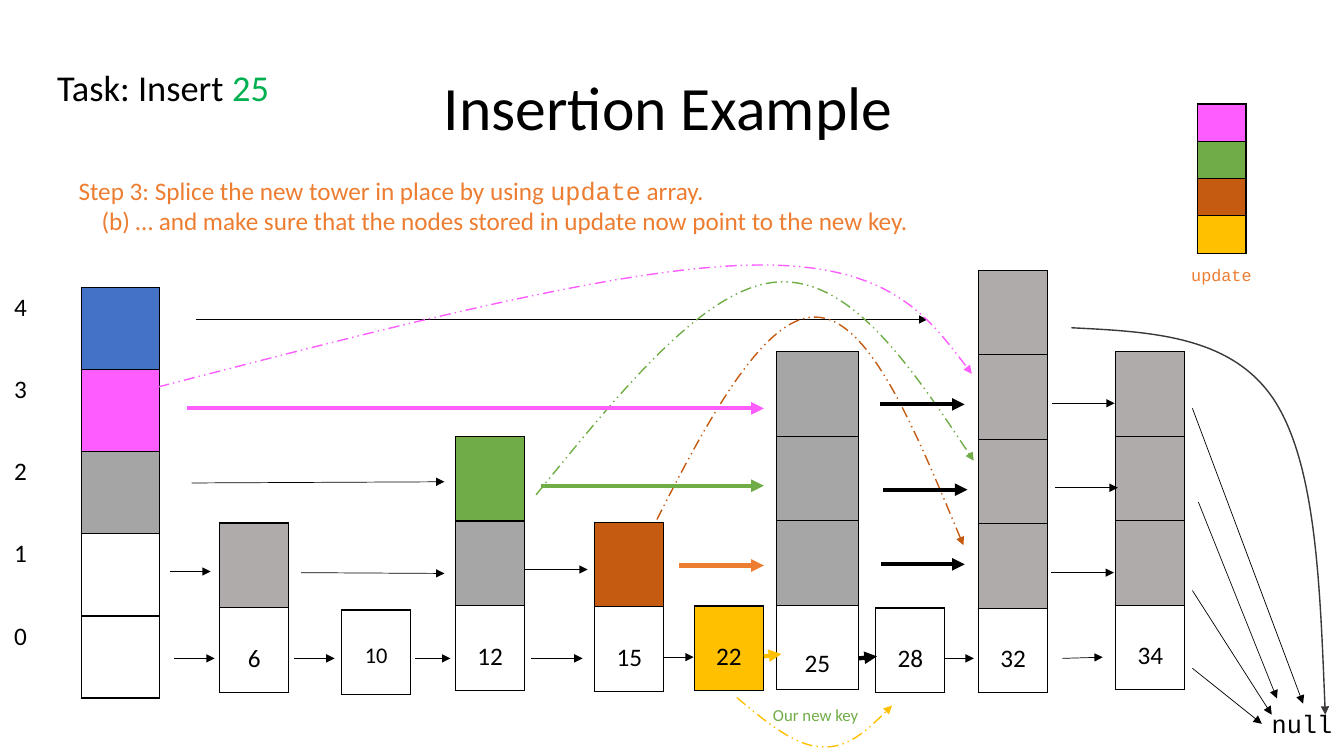
from dataclasses import dataclass

from lxml import etree
from pptx import Presentation
from pptx.dml.color import RGBColor
from pptx.enum.dml import MSO_LINE
from pptx.enum.shapes import MSO_CONNECTOR
from pptx.enum.text import MSO_ANCHOR, PP_ALIGN
from pptx.oxml.ns import qn
from pptx.util import Cm, Pt

STRAIGHT = MSO_CONNECTOR.STRAIGHT
DASH = MSO_LINE.DASH_DOT_DOT
CENTER = PP_ALIGN.CENTER
MIDDLE = MSO_ANCHOR.MIDDLE


@dataclass(frozen=True)
class Theme:
    sans: str = "Calibri"
    mono: str = "Courier New"
    black: str = "000000"
    charcoal: str = "3B3838"
    blue: str = "4472C4"
    pink: str = "FD5CFF"
    green: str = "70AD47"
    bright_green: str = "00B050"
    brown: str = "C55A11"
    orange: str = "ED7D31"
    gold: str = "FFC000"
    grey: str = "A6A6A6"
    level_grey: str = "A5A5A5"
    warm_grey: str = "AFABAB"
    title: int = 44
    task: int = 26
    body: int = 18
    compact: int = 16
    caption: int = 12


THEME = Theme()
TOWER_WIDTH = 1.74
TOWER_ROW = 2.13
LEVEL_SIZE = 2.07
LEVEL_COLUMN = 1.96

TOWERS = [
    (5.54, 13.18, "6", [THEME.warm_grey, None]),
    (11.48, 11.0, "12", [THEME.green, THEME.grey, None]),
    (14.99, 13.16, "15", [THEME.brown, None]),
    (17.5, 15.27, "22", [THEME.gold]),
    (22.07, 15.32, "28", [None]),
    (24.66, 6.81, "32", [THEME.warm_grey] * 4 + [None]),
    (28.12, 8.86, "34", [THEME.warm_grey] * 3 + [None]),
]

THIN_ARROWS = [
    (4.39, 16.59, 5.41, 16.59), (7.42, 16.59, 8.43, 16.59),
    (10.46, 16.59, 11.35, 16.59), (13.39, 16.59, 14.68, 16.59),
    (23.8, 16.59, 24.54, 16.59), (26.77, 16.59, 27.79, 16.56),
    (4.29, 14.4, 5.31, 14.4), (7.59, 14.43, 11.2, 14.45),
    (13.23, 14.35, 14.81, 14.35), (26.49, 14.43, 28.07, 14.43),
    (26.59, 12.29, 28.17, 12.29), (26.52, 10.16, 28.09, 10.16),
    (4.95, 8.05, 23.37, 8.05), (4.83, 12.17, 11.2, 12.14),
    (30.05, 16.84, 31.8, 18.24), (30.05, 14.88, 32.05, 18.01),
    (30.2, 12.65, 32.18, 17.6), (30.05, 10.29, 32.84, 17.73),
]

THICK_ARROWS = [
    (THEME.black, (21.64, 16.59, 22.1, 16.54)),
    (THEME.black, (22.2, 14.22, 24.31, 14.22)),
    (THEME.black, (22.25, 12.34, 24.38, 12.34)),
    (THEME.black, (22.17, 10.19, 24.31, 10.19)),
    (THEME.gold, (19.25, 16.54, 19.69, 16.48)),
    (THEME.orange, (17.12, 14.25, 19.25, 14.25)),
    (THEME.green, (13.64, 12.24, 19.25, 12.24)),
    (THEME.pink, (4.72, 10.29, 19.25, 10.29)),
]

NULL_CURVE = [(27, 8.26), (29.03, 8.36), (31.04, 8.46), (32.11, 10.08),
              (33.17, 11.71), (33.27, 14.86), (33.4, 18.01)]

OLD_POINTERS = [
    (THEME.pink, [(3.99, 9.75), (9.78, 8.26), (15.57, 6.73), (19, 6.68),
                  (22.4, 6.63), (23.44, 8.03), (24.49, 9.42)]),
    (THEME.green, [(13.51, 12.47), (15.62, 9.88), (17.73, 7.26), (19.56, 7.11),
                   (21.41, 6.96), (22.99, 9.27), (24.54, 11.61)]),
    (THEME.brown, [(15.67, 14.88), (17.32, 11.53), (18.95, 8.18), (20.4, 8),
                   (21.82, 7.8), (23.04, 10.77), (24.28, 13.74)]),
    (THEME.gold, [(18.57, 17.58), (19.3, 18.19), (20.04, 18.8), (20.7, 18.82),
                  (21.36, 18.87), (21.92, 18.34), (22.48, 17.78)]),
]


def style_font(font, size, color=THEME.black, name=THEME.sans):
    font.name = name
    font.size = Pt(size)
    font.color.rgb = RGBColor.from_string(color)


def add_text(page, left, top, width, height):
    box = page.shapes.add_textbox(Cm(left), Cm(top), Cm(width), Cm(height))
    box.text_frame.word_wrap = True
    return box.text_frame


def add_label(page, place, text, size, color=THEME.black, name=THEME.sans):
    para = add_text(page, *place).paragraphs[0]
    para.text = text
    style_font(para.font, size, color, name)


def add_spans(para, spans):
    for text, size, color, name in spans:
        span = para.add_run()
        span.text = text
        style_font(span.font, size, color, name)


def add_borders(cell, sides):
    properties = cell._tc.get_or_add_tcPr()
    for side in sides:
        border = etree.SubElement(properties, qn(f"a:ln{side}"), w=str(Pt(1)))
        fill = etree.SubElement(border, qn("a:solidFill"))
        etree.SubElement(fill, qn("a:srgbClr"), val=THEME.black)


def paint_cell(cell, color, sides="LRTB"):
    cell.margin_top = cell.margin_bottom = 0
    add_borders(cell, sides)
    if color:
        cell.fill.solid()
        cell.fill.fore_color.rgb = RGBColor.from_string(color)
    else:
        cell.fill.background()


def add_grid(page, left, top, rows, columns, width, row_height):
    table = page.shapes.add_table(rows, columns, Cm(left), Cm(top),
                                  Cm(width * columns), Cm(row_height * rows)).table
    table.first_row = table.horz_banding = False
    return table


def write_cell(cell, text, size, gap):
    cell.margin_top = Cm(gap)
    para = cell.text_frame.paragraphs[0]
    para.text = text
    style_font(para.font, size)
    return para


def add_tower(page, left, top, label, fills, width=TOWER_WIDTH,
              row_height=TOWER_ROW, size=THEME.body, gap=0.9):
    table = add_grid(page, left, top, len(fills), 1, width, row_height)
    for row, color in enumerate(fills):
        paint_cell(table.cell(row, 0), color)
    if label:
        write_cell(table.cell(len(fills) - 1, 0), label, size, gap).alignment = CENTER


def add_head_tower(page):
    fills = [THEME.blue, THEME.pink, THEME.level_grey, None, None]
    table = add_grid(page, 0.1, 7.24, len(fills), 2, LEVEL_COLUMN, LEVEL_SIZE)
    for row, color in enumerate(fills):
        paint_cell(table.cell(row, 0), None, "R")
        write_cell(table.cell(row, 0), str(len(fills) - 1 - row), THEME.body, 0.13)
        paint_cell(table.cell(row, 1), color)


def style_arrow(shape, color, width, dash=None):
    line = shape.line
    line.color.rgb = RGBColor.from_string(color)
    line.width = Pt(width)
    if dash:
        line.dash_style = dash
    properties = shape._element.spPr
    etree.SubElement(properties.find(qn("a:ln")), qn("a:tailEnd"), type="triangle")
    if properties.find(qn("a:effectLst")) is None:
        etree.SubElement(properties, qn("a:effectLst"))


def add_arrow(page, ends, color=THEME.black, width=0.5):
    arrow = page.shapes.add_connector(STRAIGHT, *map(Cm, ends))
    style_arrow(arrow, color, width)


def add_curve(page, points, color, dash=None):
    start, *others = [(Cm(x), Cm(y)) for x, y in points]
    builder = page.shapes.build_freeform(*start)
    builder.add_line_segments(others, close=False)
    curve = builder.convert_to_shape()
    outline = curve._element.find(f".//{qn('a:path')}")
    segments = outline.findall(qn("a:lnTo"))
    for first in range(0, len(segments), 3):
        bend = etree.SubElement(outline, qn("a:cubicBezTo"))
        for segment in segments[first:first + 3]:
            bend.append(segment[0])
            outline.remove(segment)
    curve.fill.background()
    style_arrow(curve, color, 1, dash)


def add_title(page):
    title = page.shapes.title
    title.left, title.top, title.width, title.height = map(Cm, (2.24, 0.94, 29.21, 3.68))
    title.text_frame.vertical_anchor = MIDDLE
    para = title.text_frame.paragraphs[0]
    para.text = "Insertion Example"
    para.alignment = CENTER
    para.line_spacing = 0.9
    style_font(para.font, THEME.title)


def add_step(page):
    frame = add_text(page, 1.73, 4.29, 26.06, 1.8)
    plain = (THEME.body, THEME.orange, THEME.sans)
    add_spans(frame.paragraphs[0], [
        ("Step 3: Splice the new tower in place by using ", *plain),
        ("update", THEME.body, THEME.orange, THEME.mono),
        (" array.", *plain),
    ])
    detail = frame.add_paragraph()
    detail.text = ("(b) … and make sure that the nodes stored in update "
                   "now point to the new key.")
    detail._p.get_or_add_pPr().set("marL", str(Cm(0.58)))
    style_font(detail.font, *plain)


def main():
    deck = Presentation()
    deck.slide_width, deck.slide_height = Cm(33.87), Cm(19.05)
    page = deck.slides.add_slide(deck.slide_layouts[5])
    add_title(page)
    add_spans(add_text(page, 1.19, 1.52, 6.45, 1.37).paragraphs[0], [
        ("Task: Insert ", THEME.task, THEME.black, THEME.sans),
        ("25", THEME.task, THEME.bright_green, THEME.sans),
    ])
    add_step(page)
    add_head_tower(page)
    for tower in TOWERS:
        add_tower(page, *tower)
    add_tower(page, 8.61, 15.37, "10", [None], size=THEME.compact, gap=0.81)
    add_tower(page, 19.56, 8.86, "25", [THEME.grey] * 3 + [None], width=2.08, gap=1.08)
    add_tower(page, 30.18, 2.62, None, [THEME.pink, THEME.green, THEME.brown, THEME.gold],
              width=1.22, row_height=0.94)
    add_label(page, (29.77, 6.55, 2.79, 0.76), "update", THEME.caption, THEME.orange, THEME.mono)
    add_label(page, (19.23, 17.63, 2.79, 0.76), "Our new key", THEME.caption, THEME.green)
    add_label(page, (31.8, 17.73, 2.08, 1.02), "null", THEME.body, name=THEME.mono)
    for ends in THIN_ARROWS:
        add_arrow(page, ends)
    add_arrow(page, (16.74, 16.56, 17.48, 16.56), width=0.75)
    add_curve(page, NULL_CURVE, THEME.charcoal)
    for color, points in OLD_POINTERS:
        add_curve(page, points, color, DASH)
    for color, ends in THICK_ARROWS:
        add_arrow(page, ends, color, 3)
    deck.save("out.pptx")


if __name__ == "__main__":
    main()
